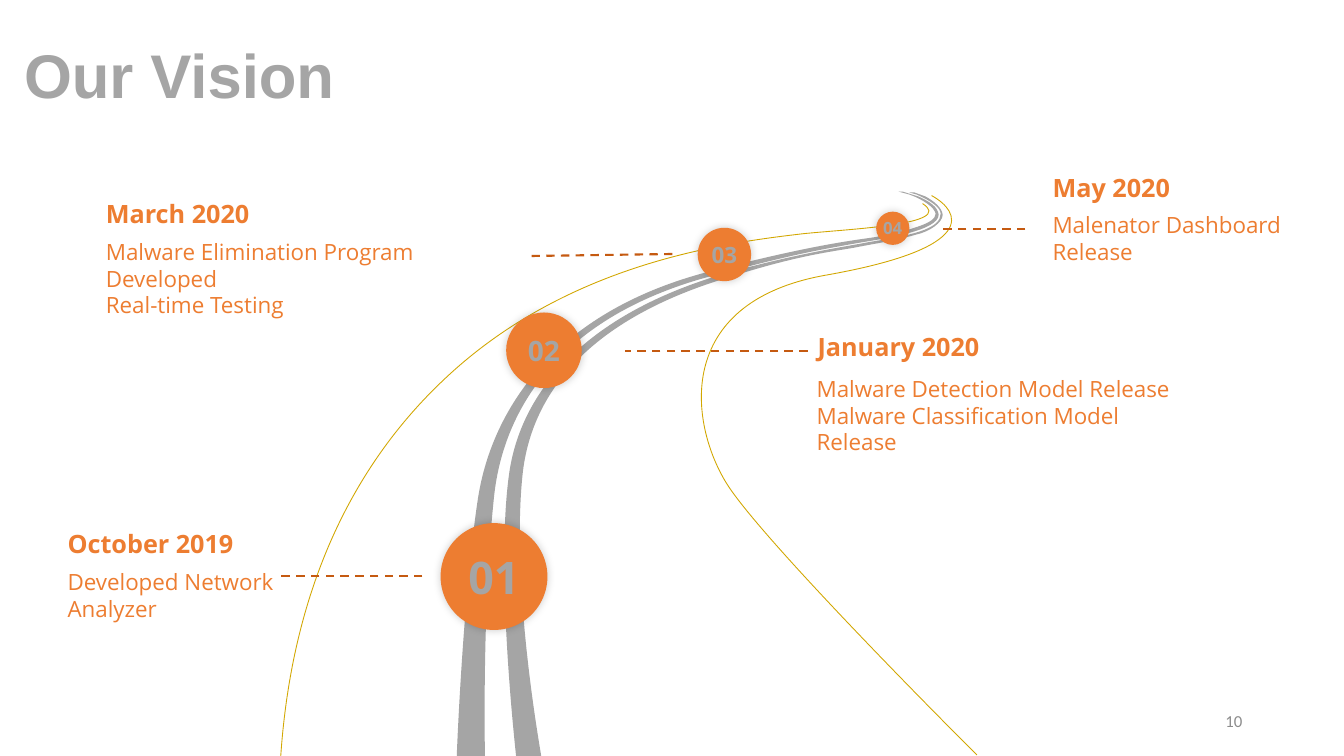
from dataclasses import dataclass

from lxml import etree
from pptx import Presentation
from pptx.dml.color import RGBColor
from pptx.enum.dml import MSO_LINE
from pptx.enum.shapes import MSO_CONNECTOR, MSO_SHAPE
from pptx.enum.text import MSO_ANCHOR, MSO_AUTO_SIZE, PP_ALIGN
from pptx.oxml import parse_xml
from pptx.oxml.ns import nsdecls, qn
from pptx.util import Inches, Pt

ORANGE = RGBColor(0xED, 0x7D, 0x31)
RUST = RGBColor(0xC5, 0x5A, 0x11)
GREY = RGBColor(0xA5, 0xA5, 0xA5)
DARK_GREY = RGBColor(0x8C, 0x8C, 0x8C)
GOLD = RGBColor(0xD2, 0xA7, 0x00)
DASH = MSO_LINE.DASH
STRAIGHT = MSO_CONNECTOR.STRAIGHT
OVAL = MSO_SHAPE.OVAL
TOP, MIDDLE = MSO_ANCHOR.TOP, MSO_ANCHOR.MIDDLE
LEFT, CENTER, RIGHT = PP_ALIGN.LEFT, PP_ALIGN.CENTER, PP_ALIGN.RIGHT
FIXED, GROW = MSO_AUTO_SIZE.NONE, MSO_AUTO_SIZE.SHAPE_TO_FIT_TEXT
BODY_FONT = "Open Sans"


@dataclass(frozen=True)
class Curve:
    """A start point, then lines (2 numbers) and cubic curves (6 numbers)."""
    box: tuple
    start: tuple
    segments: tuple


@dataclass(frozen=True)
class Stop:
    label: str
    left: float
    top: float
    diameter: float
    size: int


@dataclass(frozen=True)
class Milestone:
    date: str
    date_box: tuple
    details: tuple
    details_box: tuple
    line_start: tuple
    line_end: tuple


LANES = (
    Curve((4.53, 1.9, 4.78, 5.61), (8.91, 1.9), (
        (8.95, 1.9), (9.11, 1.95),
        (9.22, 2, 9.3, 2.05, 9.31, 2.13), (9.31, 2.21, 9.17, 2.27, 9.02, 2.31),
        (8.79, 2.37, 8.62, 2.39, 8.4, 2.43), (8.07, 2.49, 7.84, 2.53, 7.05, 2.74),
        (5.45, 3.17, 4.98, 4.16, 4.9, 4.93), (4.78, 6.07, 4.81, 7.49, 4.81, 7.51),
        (4.81, 7.51, 4.81, 7.51, 4.53, 7.51),
        (4.53, 7.49, 4.59, 5.94, 4.74, 4.95), (4.86, 4.16, 5.41, 3.11, 7.05, 2.69),
        (7.86, 2.48, 8.28, 2.41, 8.56, 2.37), (8.78, 2.34, 8.92, 2.31, 9.1, 2.25),
        (9.22, 2.21, 9.28, 2.17, 9.28, 2.12), (9.27, 2.06, 9.16, 1.98, 9.02, 1.93),
        (8.91, 1.9),
    )),
    Curve((5, 1.91, 4.34, 5.6), (9.02, 1.91), (
        (9.07, 1.91), (9.18, 1.95),
        (9.27, 2, 9.34, 2.06, 9.35, 2.13), (9.35, 2.21, 9.22, 2.3, 9.08, 2.33),
        (8.87, 2.39, 8.66, 2.42, 8.46, 2.46), (8.16, 2.51, 7.86, 2.55, 7.2, 2.76),
        (5.76, 3.2, 5.25, 3.97, 5.18, 4.74), (5.07, 5.88, 5.37, 7.49, 5.37, 7.51),
        (5.37, 7.51, 5.37, 7.51, 5.12, 7.51),
        (5.12, 7.49, 4.91, 5.69, 5.05, 4.7), (5.16, 3.92, 5.76, 3.12, 7.24, 2.7),
        (7.98, 2.5, 8.38, 2.45, 8.63, 2.4), (8.83, 2.37, 9.01, 2.34, 9.17, 2.28),
        (9.27, 2.24, 9.33, 2.19, 9.33, 2.12), (9.33, 2.06, 9.23, 1.99, 9.09, 1.93),
        (9.02, 1.91),
    )),
)

EDGES = (
    Curve((6.96, 1.94, 2.73, 5.55), (9.69, 7.49), (
        (9.69, 7.49, 7.58, 5.39, 7.21, 4.8), (6.84, 4.21, 6.67, 3, 8.19, 2.73),
        (9.72, 2.46, 9.53, 2.1, 9.24, 1.94),
    )),
    Curve((2.78, 2.02, 6.44, 5.56), (2.78, 7.58), (
        (2.88, 5.86, 3.5, 4.62, 4.4, 3.77), (5.62, 2.61, 7.19, 2.41, 7.96, 2.32),
        (8.44, 2.27, 9.48, 2.23, 9.15, 2.02),
    )),
)

STOPS = (
    Stop("01", 4.37, 5.19, 1.06, 32),
    Stop("02", 5.02, 3.1, 0.75, 20),
    Stop("03", 6.92, 2.26, 0.53, 16),
    Stop("04", 8.69, 2.1, 0.33, 12),
)

MILESTONES = (
    Milestone("May 2020", (10.44, 1.66, 2.3, 0.4),
              ("Malenator Dashboard Release",), (10.44, 2.05, 2.73, 0.37),
              (10.17, 2.27), (9.31, 2.27)),
    Milestone("March 2020", (1.05, 1.92, 3.13, 0.4),
              ("Malware Elimination Program Developed", "Real-time Testing"),
              (1.05, 2.31, 3.82, 0.64), (6.67, 2.52), (5.26, 2.54)),
    Milestone("January 2020", (8.11, 3.24, 3.13, 0.4),
              ("Malware Detection Model Release",
               "Malware Classification Model Release"),
              (8.1, 3.67, 3.53, 0.64), (8.01, 3.48), (6.2, 3.48)),
    Milestone("October 2019", (0.67, 5.19, 2.35, 0.4),
              ("Developed Network Analyzer",), (0.67, 5.59, 2.35, 0.64),
              (4.19, 5.71), (2.78, 5.71)),
)


def write_text(shape, lines: tuple, *, size: int, color: RGBColor,
               font: str = BODY_FONT, bold: bool = False, align=LEFT, anchor=TOP,
               side_inset: float = 0, spacing: float = 1, fit=FIXED) -> None:
    frame = shape.text_frame
    frame.word_wrap = True
    frame.auto_size = fit
    frame.vertical_anchor = anchor
    frame.margin_left = frame.margin_right = Inches(side_inset)
    frame.margin_top = frame.margin_bottom = Inches(0.05)
    for index, line in enumerate(lines):
        para = frame.add_paragraph() if index else frame.paragraphs[0]
        para.alignment = align
        if spacing != 1:
            para.line_spacing = spacing
        span = para.add_run()
        span.text = line
        span.font.name = font
        span.font.size = Pt(size)
        span.font.bold = bold
        span.font.color.rgb = color


def add_text(page, box: tuple, *lines: str, **text_format) -> None:
    shape = page.shapes.add_textbox(*map(Inches, box))
    write_text(shape, lines, **text_format)


def add_curve(page, curve: Curve, closed: bool):
    builder = page.shapes.build_freeform(*map(Inches, curve.start))
    builder.add_line_segments([tuple(map(Inches, segment[-2:]))
                               for segment in curve.segments], close=closed)
    shape = builder.convert_to_shape()
    shape.shadow.inherit = False
    left, top, width, height = map(Inches, curve.box)
    shape.left, shape.top, shape.width, shape.height = left, top, width, height

    # Bend the outline: cubic segments within the curve's own box
    outline = next(shape._element.iter(qn("a:path")))
    outline.set("w", str(width))
    outline.set("h", str(height))
    for node in list(outline):
        outline.remove(node)
    for index, segment in enumerate((curve.start,) + curve.segments):
        tag = "a:cubicBezTo" if len(segment) == 6 else "a:lnTo" if index else "a:moveTo"
        node = etree.SubElement(outline, qn(tag))
        for x, y in zip(segment[::2], segment[1::2]):
            etree.SubElement(node, qn("a:pt"), x=str(Inches(x) - left),
                             y=str(Inches(y) - top))
    if closed:
        etree.SubElement(outline, qn("a:close"))
    return shape


def add_lane(page, curve: Curve) -> None:
    shape = add_curve(page, curve, closed=True)
    shape.fill.solid()
    shape.fill.fore_color.rgb = GREY
    shape.line.fill.background()


def add_edge(page, curve: Curve) -> None:
    shape = add_curve(page, curve, closed=False)
    shape.fill.background()
    shape.line.color.rgb = GOLD
    shape.line.width = Pt(0.63)


def add_stop(page, stop: Stop) -> None:
    shape = page.shapes.add_shape(OVAL, *map(Inches, (
        stop.left, stop.top, stop.diameter, stop.diameter)))
    shape.fill.solid()
    shape.fill.fore_color.rgb = ORANGE
    shape.line.fill.background()
    # Soft shadow all around the circle
    shape.shadow.inherit = False
    shape._element.spPr.find(qn("a:effectLst")).append(parse_xml(
        f'<a:outerShdw {nsdecls("a")} blurRad="{Pt(6)}" dist="0" dir="18900000">'
        '<a:srgbClr val="000000"><a:alpha val="20000"/></a:srgbClr></a:outerShdw>'))
    write_text(shape, (stop.label,), size=stop.size, color=GREY, bold=True,
               align=CENTER, anchor=MIDDLE)


def add_milestone(page, milestone: Milestone) -> None:
    add_text(page, milestone.details_box, *milestone.details, size=16,
             color=ORANGE, fit=GROW)
    line = page.shapes.add_connector(STRAIGHT, *map(
        Inches, milestone.line_start + milestone.line_end))
    line.line.color.rgb = RUST
    line.line.width = Pt(1.5)
    line.line.dash_style = DASH
    etree.SubElement(line._element.spPr, qn("a:effectLst"))
    add_text(page, milestone.date_box, milestone.date, size=18, color=ORANGE,
             bold=True, fit=GROW)


def main() -> None:
    deck = Presentation()
    deck.slide_width, deck.slide_height = Inches(13.33), Inches(7.5)
    page = deck.slides.add_slide(deck.slide_layouts[6])

    # Road, title and milestones
    for lane in LANES:
        add_lane(page, lane)
    add_text(page, (0.14, 0.05, 11.5, 1.45), "Our Vision", size=44, color=GREY,
             font="Arial", bold=True, anchor=MIDDLE, side_inset=0.1, spacing=0.9)
    for edge in EDGES:
        add_edge(page, edge)
    for stop in STOPS:
        add_stop(page, stop)
    for milestone in MILESTONES:
        add_milestone(page, milestone)

    # Page number
    add_text(page, (9.42, 6.95, 3, 0.4), "10", size=12, color=DARK_GREY,
             font="Calibri", align=RIGHT, anchor=MIDDLE, side_inset=0.1)
    deck.save("out.pptx")


if __name__ == "__main__":
    main()
